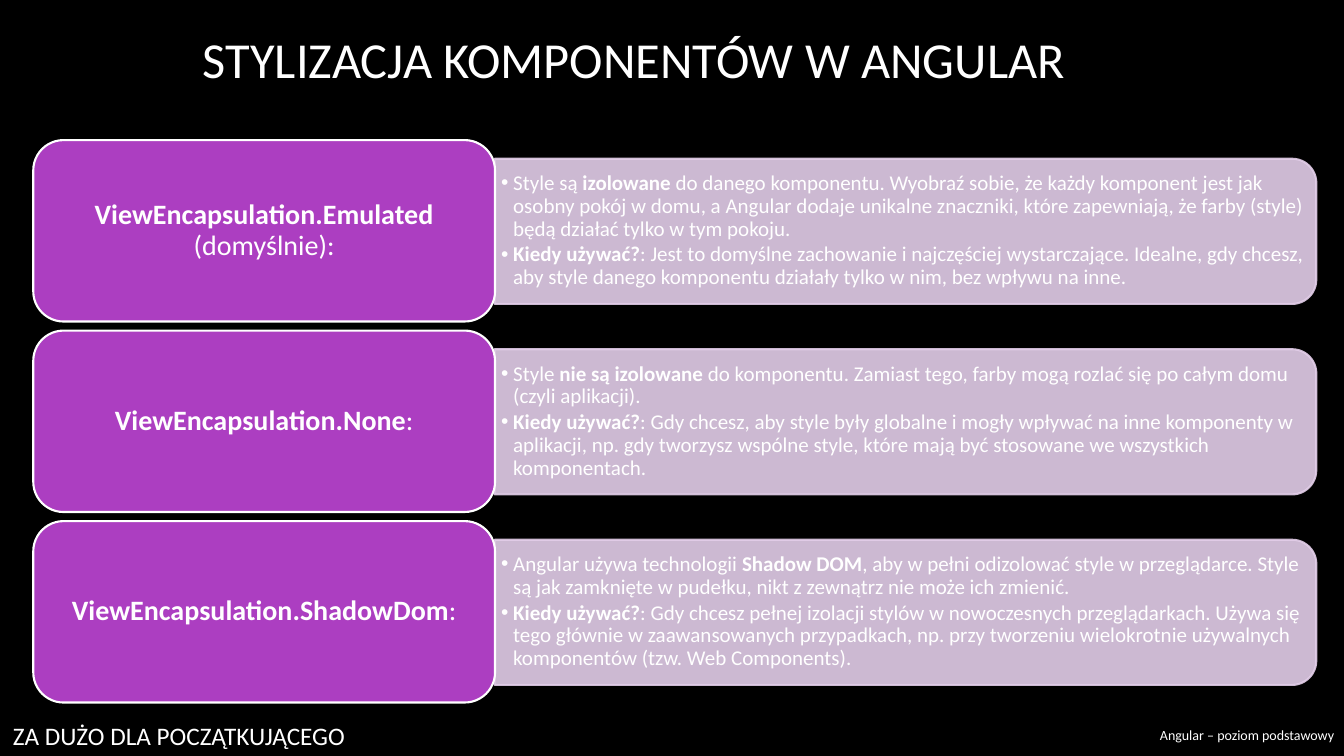
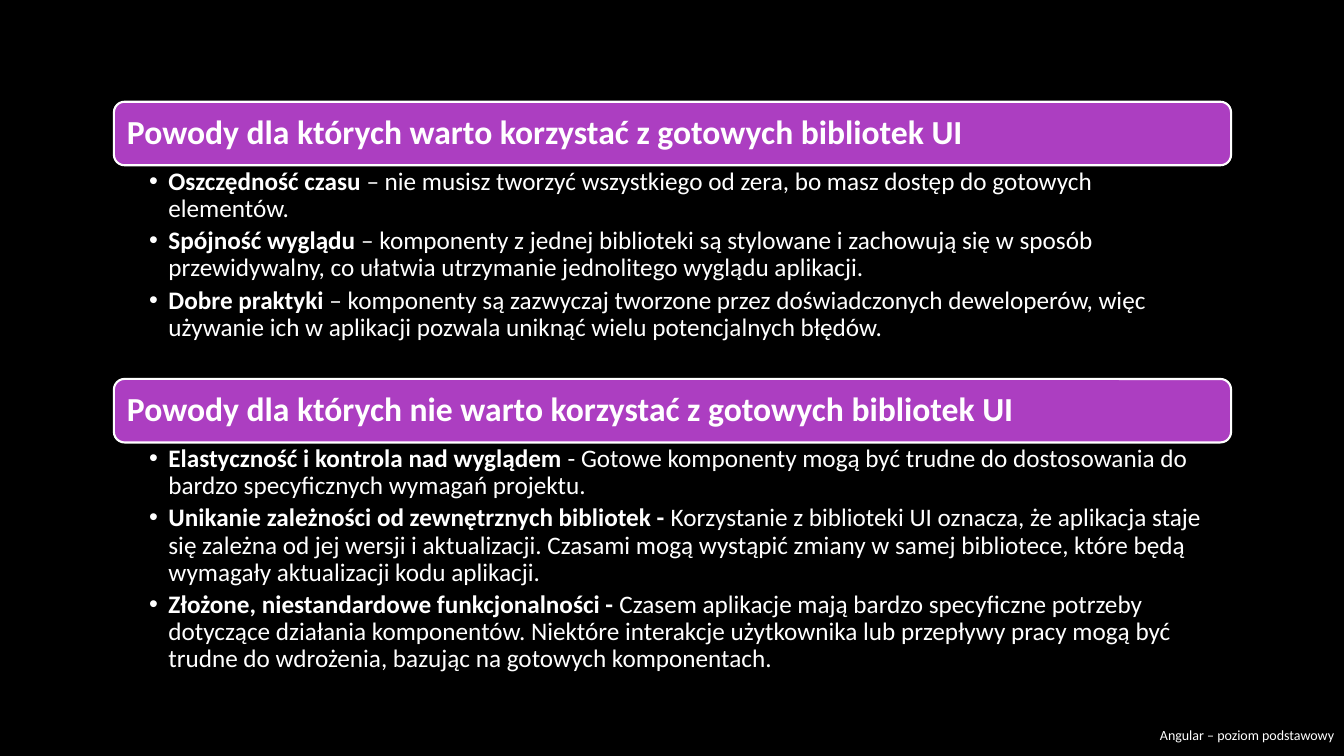
import dataclasses

import pptx
import pptx.dml.color
import pptx.enum.shapes
import pptx.enum.text
import pptx.oxml
import pptx.oxml.ns
import pptx.util

PX = 9144  # EMU in one px: 100 px to the inch
SHAPE = pptx.enum.shapes.MSO_SHAPE
ALIGN = pptx.enum.text.PP_ALIGN
ANCHOR = pptx.enum.text.MSO_ANCHOR


@dataclasses.dataclass(frozen=True)
class Theme:
    font: str = "Calibri"
    background: pptx.dml.color.RGBColor = pptx.dml.color.RGBColor(0x00, 0x00, 0x00)
    text: pptx.dml.color.RGBColor = pptx.dml.color.RGBColor(0xFF, 0xFF, 0xFF)
    accent: pptx.dml.color.RGBColor = pptx.dml.color.RGBColor(0xAC, 0x3E, 0xC1)
    pale: pptx.dml.color.RGBColor = pptx.dml.color.RGBColor(0xE3, 0xCE, 0xE9)
    title: int = 36
    heading: int = 24
    label: int = 20
    body: int = 18
    detail: int = 15
    footer: int = 10


THEME = Theme()


def write(shape, paragraphs, size, align=ALIGN.LEFT, anchor=ANCHOR.MIDDLE,
          margins=(10, 5, 10, 5), spacing=1, after=0, bullet_indent=0):
    """Fill a shape with paragraphs; text between ** marks is bold."""
    frame = shape.text_frame
    left, top, right, bottom = (px * PX for px in margins)
    frame_format = {
        "word_wrap": True, "auto_size": pptx.enum.text.MSO_AUTO_SIZE.NONE,
        "vertical_anchor": anchor, "margin_left": left, "margin_top": top,
        "margin_right": right, "margin_bottom": bottom,
    }
    for name, value in frame_format.items():
        setattr(frame, name, value)
    for index, content in enumerate(paragraphs):
        paragraph = frame.add_paragraph() if index else frame.paragraphs[0]
        if bullet_indent:
            properties = paragraph._p.get_or_add_pPr()
            properties.set("marL", str(bullet_indent * PX))
            properties.set("indent", str(-bullet_indent * PX))
            for tag in ('buFont typeface="Arial"', 'buChar char="•"'):
                properties.append(pptx.oxml.parse_xml(
                    f'<a:{tag} {pptx.oxml.ns.nsdecls("a")}/>'))
        paragraph_format = {
            "alignment": align, "line_spacing": spacing,
            "space_before": pptx.util.Pt(0), "space_after": pptx.util.Pt(after),
        }
        for name, value in paragraph_format.items():
            setattr(paragraph, name, value)
        for part, text in enumerate(content.split("**")):
            if text:
                run = paragraph.add_run()
                run.text = text
                run.font.color.rgb = THEME.text
                run_format = {"name": THEME.font, "size": pptx.util.Pt(size),
                              "bold": part % 2 == 1}
                for name, value in run_format.items():
                    setattr(run.font, name, value)


def add_panel(slide, outline, box, fill, line, opacity=100):
    panel = slide.shapes.add_shape(outline, *(px * PX for px in box))
    panel.shadow.inherit = False
    panel.fill.solid()
    panel.fill.fore_color.rgb = fill
    panel.line.color.rgb = line
    panel.line.width = pptx.util.Pt(1.5)
    if opacity < 100:
        for color in panel._element.spPr.iter(pptx.oxml.ns.qn("a:srgbClr")):
            color.append(pptx.oxml.parse_xml(
                f'<a:alpha {pptx.oxml.ns.nsdecls("a")} val="{opacity * 1000}"/>'))
    return panel


deck = pptx.Presentation()
deck.slide_width, deck.slide_height = 1333 * PX, 750 * PX
deck.slide_master.background.fill.solid()
deck.slide_master.background.fill.fore_color.rgb = THEME.background
TITLE_ONLY, BLANK = deck.slide_layouts[5], deck.slide_layouts[6]

# Slide 1: encapsulation modes
modes_slide = deck.slides.add_slide(TITLE_ONLY)
title = modes_slide.shapes.title
title_box = {"left": 75, "top": 2, "width": 1108, "height": 112}
for side, px in title_box.items():
    setattr(title, side, px * PX)
write(title, ["STYLIZACJA KOMPONENTÓW W ANGULAR"], THEME.title, ALIGN.CENTER)

modes = [
    ("**ViewEncapsulation.Emulated** (domyślnie):", [
        "Style są **izolowane** do danego komponentu. Wyobraź sobie, że każdy komponent "
        "jest jak osobny pokój w domu, a Angular dodaje unikalne znaczniki, które "
        "zapewniają, że farby (style) będą działać tylko w tym pokoju.",
        "**Kiedy używać?**: Jest to domyślne zachowanie i najczęściej wystarczające. "
        "Idealne, gdy chcesz, aby style danego komponentu działały tylko w nim, "
        "bez wpływu na inne."]),
    ("**ViewEncapsulation.None**:", [
        "Style **nie są izolowane** do komponentu. Zamiast tego, farby mogą rozlać się "
        "po całym domu (czyli aplikacji).",
        "**Kiedy używać?**: Gdy chcesz, aby style były globalne i mogły wpływać na inne "
        "komponenty w aplikacji, np. gdy tworzysz wspólne style, które mają być "
        "stosowane we wszystkich komponentach."]),
    ("**ViewEncapsulation.ShadowDom**:", [
        "Angular używa technologii **Shadow DOM**, aby w pełni odizolować style w "
        "przeglądarce. Style są jak zamknięte w pudełku, nikt z zewnątrz nie może "
        "ich zmienić.",
        "**Kiedy używać?**: Gdy chcesz pełnej izolacji stylów w nowoczesnych "
        "przeglądarkach. Używa się tego głównie w zaawansowanych przypadkach, np. przy "
        "tworzeniu wielokrotnie używalnych komponentów (tzw. Web Components)."]),
]
MODE_LEFT, MODE_TOP, MODE_WIDTH, MODE_HEIGHT, MODE_PITCH = 33, 139, 458, 180, 189
DETAIL_LEFT, DETAIL_WIDTH, DETAIL_HEIGHT = MODE_LEFT + MODE_WIDTH, 815, 144
for row, (mode, details) in enumerate(modes):
    top = MODE_TOP + row * MODE_PITCH
    detail_top = top + (MODE_HEIGHT - DETAIL_HEIGHT) // 2
    # The panel is drawn upright and turned about its centre
    turn = (DETAIL_WIDTH - DETAIL_HEIGHT) // 2
    detail_panel = add_panel(
        modes_slide, SHAPE.ROUND_2_SAME_RECTANGLE,
        (DETAIL_LEFT + turn, detail_top - turn, DETAIL_HEIGHT, DETAIL_WIDTH),
        THEME.pale, THEME.pale, opacity=90)
    detail_panel.rotation = 90
    detail_text = modes_slide.shapes.add_textbox(
        DETAIL_LEFT * PX, detail_top * PX, 808 * PX, DETAIL_HEIGHT * PX)
    write(detail_text, details, THEME.detail, margins=(6, 3, 6, 3),
          spacing=0.9, after=THEME.detail * 0.15, bullet_indent=12)
    mode_panel = add_panel(modes_slide, SHAPE.ROUNDED_RECTANGLE,
                           (MODE_LEFT, top, MODE_WIDTH, MODE_HEIGHT),
                           THEME.accent, THEME.text)
    write(mode_panel, [mode], THEME.label, ALIGN.CENTER,
          margins=(8, 4, 8, 4), spacing=0.9)

remark = modes_slide.shapes.add_textbox(3 * PX, 710 * PX, 667 * PX, 40 * PX)
write(remark, ["ZA DUŻO DLA POCZĄTKUJĄCEGO"], THEME.body, anchor=ANCHOR.TOP)

# Slide 2: reasons for and against UI libraries
reasons_slide = deck.slides.add_slide(BLANK)
sections = [
    ("**Powody dla których warto korzystać z gotowych bibliotek UI**", 212, [
        "**Oszczędność czasu** – nie musisz tworzyć wszystkiego od zera, bo masz dostęp "
        "do gotowych elementów.",
        "**Spójność wyglądu** – komponenty z jednej biblioteki są stylowane i zachowują "
        "się w sposób przewidywalny, co ułatwia utrzymanie jednolitego wyglądu aplikacji.",
        "**Dobre praktyki** – komponenty są zazwyczaj tworzone przez doświadczonych "
        "deweloperów, więc używanie ich w aplikacji pozwala uniknąć wielu potencjalnych "
        "błędów."]),
    ("**Powody dla których nie warto korzystać z gotowych bibliotek UI**", 266, [
        "**Elastyczność i kontrola nad wyglądem **- Gotowe komponenty mogą być trudne do "
        "dostosowania do bardzo specyficznych wymagań projektu.",
        "**Unikanie zależności od zewnętrznych bibliotek - **Korzystanie z biblioteki UI "
        "oznacza, że aplikacja staje się zależna od jej wersji i aktualizacji. Czasami "
        "mogą wystąpić zmiany w samej bibliotece, które będą wymagały aktualizacji kodu "
        "aplikacji.",
        "**Złożone, niestandardowe funkcjonalności - **Czasem aplikacje mają bardzo "
        "specyficzne potrzeby dotyczące działania komponentów. Niektóre interakcje "
        "użytkownika lub przepływy pracy mogą być trudne do wdrożenia, bazując na "
        "gotowych komponentach."]),
]
SECTION_LEFT, SECTION_WIDTH, HEADING_HEIGHT = 113, 1108, 63
top = 101
for heading, reasons_height, reasons in sections:
    heading_panel = add_panel(reasons_slide, SHAPE.ROUNDED_RECTANGLE,
                              (SECTION_LEFT, top, SECTION_WIDTH, HEADING_HEIGHT),
                              THEME.accent, THEME.text)
    write(heading_panel, [heading], THEME.heading, margins=(10, 5, 10, 5), spacing=0.9)
    top += HEADING_HEIGHT
    reasons_text = reasons_slide.shapes.add_textbox(
        SECTION_LEFT * PX, top * PX, SECTION_WIDTH * PX, reasons_height * PX)
    write(reasons_text, reasons, THEME.body, anchor=ANCHOR.TOP, margins=(35, 3, 14, 3),
          spacing=0.9, after=THEME.body * 0.2, bullet_indent=19)
    top += reasons_height

for slide in deck.slides:
    footer = slide.shapes.add_textbox(1136 * PX, 709 * PX, 197 * PX, 41 * PX)
    write(footer, ["Angular – poziom podstawowy"], THEME.footer, ALIGN.RIGHT)

deck.save("out.pptx")
